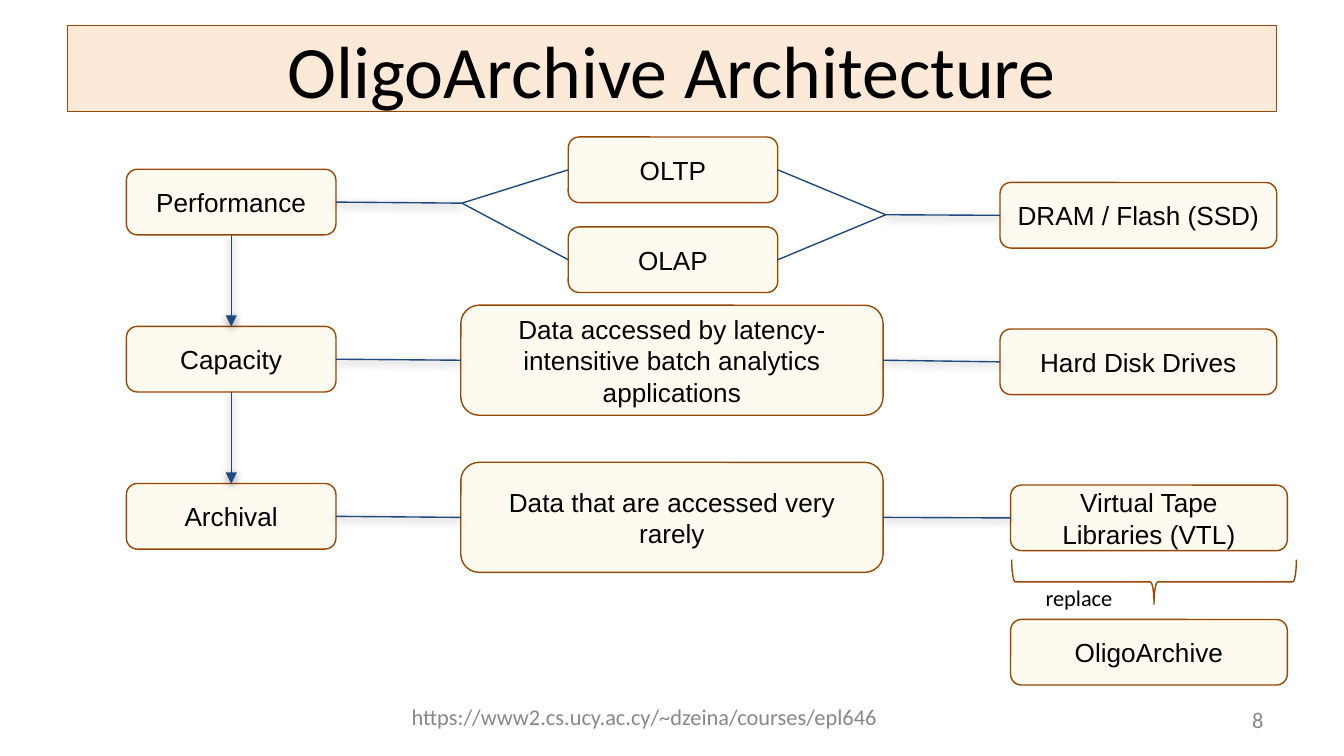
from lxml.etree import SubElement
from pptx import Presentation
from pptx.dml.color import RGBColor as RGB
from pptx.enum.shapes import MSO_CONNECTOR as CONN, MSO_SHAPE as SHAPE
from pptx.enum.text import MSO_ANCHOR as ANCHOR, MSO_AUTO_SIZE as AUTO, PP_ALIGN as ALIGN
from pptx.oxml import parse_xml
from pptx.oxml.ns import nsdecls, qn
from pptx.util import Cm, Pt

THEME = {
    "title": {"name": "Calibri", "size": Pt(39.6), "color": RGB.from_string("000000")},
    "box": {"name": "Arial", "size": Pt(14), "color": RGB.from_string("000000")},
    "note": {"name": "Calibri", "size": Pt(12), "color": RGB.from_string("000000")},
    "footer": {"name": "Calibri", "size": Pt(12), "color": RGB.from_string("888888")},
    "banner": RGB.from_string("FDE9D8"),
    "fill": RGB.from_string("FFFAEF"),
    "border": RGB.from_string("974806"),
    "link": RGB.from_string("1F497D"),
    "width": Pt(0.75),
}
TOP, LEFT, BOTTOM, RIGHT = range(4)
SHADOW = (
    f'<a:effectLst {nsdecls("a")}><a:outerShdw blurRad="57150" dist="19050" dir="5400000" '
    'algn="bl" rotWithShape="0"><a:srgbClr val="000000"><a:alpha val="50000"/></a:srgbClr>'
    "</a:outerShdw></a:effectLst>"
)


def write(sp, text, style, align, pad, anchor=ANCHOR.MIDDLE):
    tf = sp.text_frame
    frame = {
        "word_wrap": True, "auto_size": AUTO.NONE, "vertical_anchor": anchor,
        "margin_left": Cm(0.25), "margin_right": Cm(0.25),
        "margin_top": Cm(pad), "margin_bottom": Cm(pad),
    }
    for key, value in frame.items():
        setattr(tf, key, value)
    p = tf.paragraphs[0]
    p.alignment = align
    r = p.add_run()
    r.text = text
    for key in ("name", "size"):
        setattr(r.font, key, THEME[style][key])
    r.font.color.rgb = THEME[style]["color"]


def outline(sp, fill=None):
    if fill is None:
        sp.fill.background()
    else:
        sp.fill.solid()
        sp.fill.fore_color.rgb = fill
    sp.line.color.rgb = THEME["border"]
    sp.line.width = THEME["width"]


prs = Presentation()
prs.slide_width, prs.slide_height = Cm(25.4), Cm(14.29)
s = prs.slides.add_slide(prs.slide_layouts[5])

title = s.shapes.title
title.left, title.top, title.width, title.height = Cm(1.27), Cm(0.48), Cm(22.86), Cm(1.63)
outline(title, THEME["banner"])
write(title, "OligoArchive Architecture", "title", ALIGN.CENTER, 0.13)

SMALL, WIDE, LARGE = (3.96, 1.24), (5.23, 1.24), (7.98, 2.08)
ROW, STEP = 3.2, 2.97
boxes = {}
for text, x, y, (w, h) in [
    ("Performance", 2.39, ROW, SMALL),
    ("Capacity", 2.39, ROW + STEP, SMALL),
    ("Archival", 2.39, ROW + 2 * STEP, SMALL),
    ("OLTP", 10.74, 2.59, SMALL),
    ("OLAP", 10.74, 4.29, SMALL),
    ("Data accessed by latency-intensitive batch analytics applications", 8.71, 5.77, LARGE),
    ("Data that are accessed very rarely", 8.71, 5.77 + STEP, LARGE),
    ("DRAM / Flash (SSD)", 18.9, 3.45, WIDE),
    ("Hard Disk Drives", 18.9, 6.22, WIDE),
    ("Virtual Tape Libraries (VTL)", 19.1, 9.17, WIDE),
    ("OligoArchive", 19.1, 11.71, WIDE),
]:
    sp = s.shapes.add_shape(SHAPE.ROUNDED_RECTANGLE, Cm(x), Cm(y), Cm(w), Cm(h))
    sp.shadow.inherit = False
    outline(sp, THEME["fill"])
    write(sp, text, "box", ALIGN.CENTER, 0.25)
    boxes[text] = sp

perf, cap, arch, oltp, olap, batch, rare, dram, disk, tape, oligo = boxes.values()
fork, join = (8.73, 3.84), (16.74, 4.06)
for start, end, shadow, arrow in [
    ((perf, BOTTOM), (cap, TOP), True, True),
    ((cap, BOTTOM), (arch, TOP), True, True),
    ((perf, RIGHT), fork, True, False),
    (fork, (oltp, LEFT), False, False),
    (fork, (olap, LEFT), False, False),
    ((oltp, RIGHT), join, False, False),
    ((olap, RIGHT), join, False, False),
    (join, (dram, LEFT), True, False),
    ((cap, RIGHT), (batch, LEFT), True, False),
    ((batch, RIGHT), (disk, LEFT), True, False),
    ((arch, RIGHT), (rare, LEFT), True, False),
    ((rare, RIGHT), (tape, LEFT), True, False),
]:
    points = [Cm(v) for end_point in (start, end)
              for v in (end_point if end_point in (fork, join) else (0, 0))]
    link = s.shapes.add_connector(CONN.STRAIGHT, *points)
    if start not in (fork, join):
        link.begin_connect(*start)
    if end not in (fork, join):
        link.end_connect(*end)
    link.line.color.rgb = THEME["link"]
    link.line.width = THEME["width"]
    if arrow:
        SubElement(link.line._get_or_add_ln(), qn("a:tailEnd"), type="triangle")
    effect = SHADOW if shadow else f'<a:effectLst {nsdecls("a")}/>'
    link._element.spPr.append(parse_xml(effect))

brace = s.shapes.add_shape(SHAPE.RIGHT_BRACE, Cm(21.39), Cm(8.31), Cm(0.84), Cm(5.38))
brace.rotation = 90
brace.shadow.inherit = False
outline(brace)

for text, x, y, w, h, style, align, pad, anchor in [
    ("replace", 19.51, 10.8, 2.18, 0.84, "note", ALIGN.LEFT, 0.25, ANCHOR.TOP),
    ("https://www2.cs.ucy.ac.cy/~dzeina/courses/epl646", 1.27, 12.93, 21.82, 1.24,
     "footer", ALIGN.CENTER, 0.13, ANCHOR.MIDDLE),
    ("8", 18.21, 13.23, 5.92, 0.76, "footer", ALIGN.RIGHT, 0.13, ANCHOR.MIDDLE),
]:
    sp = s.shapes.add_textbox(Cm(x), Cm(y), Cm(w), Cm(h))
    write(sp, text, style, align, pad, anchor)

prs.save("out.pptx")
